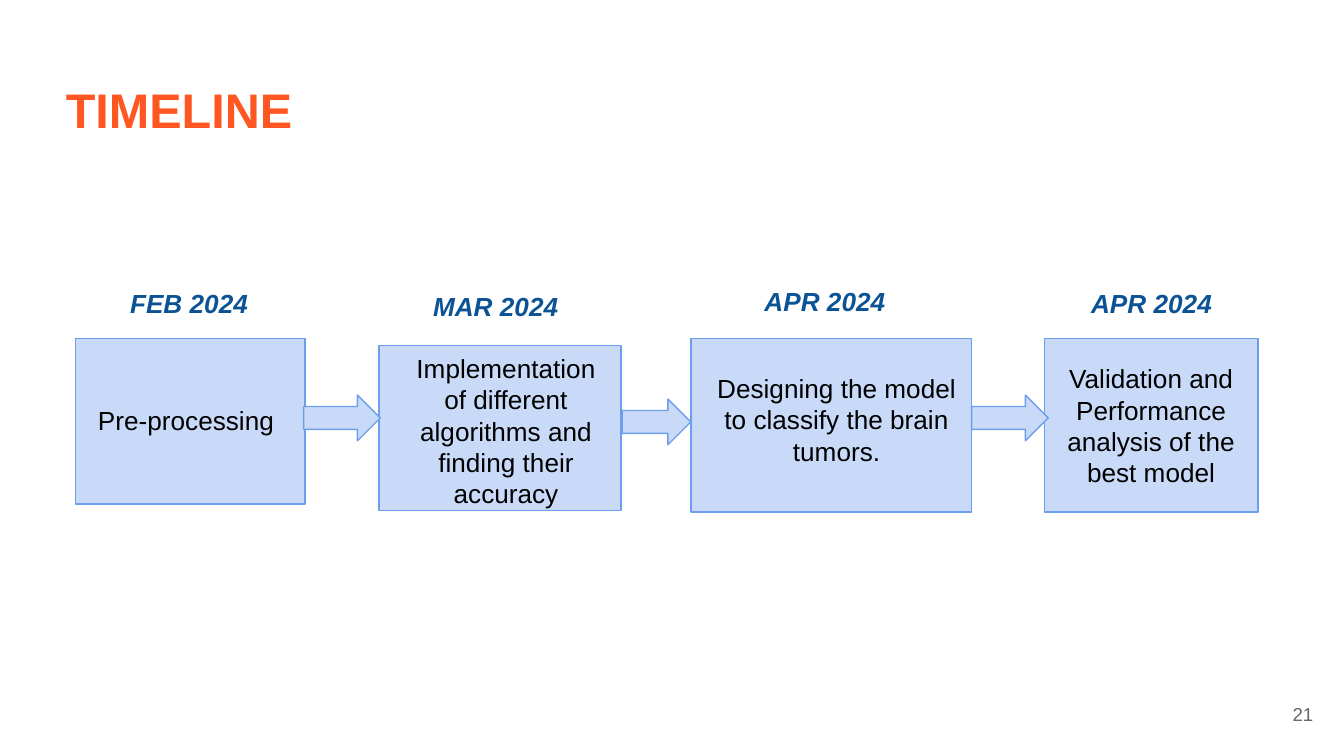
from pptx import Presentation
from pptx.dml.color import RGBColor
from pptx.enum.shapes import MSO_SHAPE as Shape
from pptx.enum.text import MSO_ANCHOR as Anchor, PP_ALIGN as Align
from pptx.util import Inches, Pt

THEME = {
    "font": "Arial",
    "title": ("FF5722", 26), "date": ("0B5394", 14),
    "body": ("000000", 14), "page": ("666666", 10),
    "fill": "C9DAF8", "line": "6D9EEB", "width": 0.75,
}
TITLE = ("TIMELINE", (0.42, 0.27, 8.13, 1.09))
PAGE = ("21", (9.27, 5.1, 0.6, 0.43))
STEPS = [
    {"date": "FEB 2024", "head": (0.87, 2.04, 1.14, 0.44), "indent": 0,
     "box": (0.56, 2.52, 1.71, 1.23),
     "task": "Pre-processing", "area": (0.43, 2.91, 1.91, 0.44)},
    {"date": " MAR 2024", "head": (3.07, 2.06, 2.03, 0.44), "indent": 0,
     "box": (2.82, 2.57, 1.8, 1.23),
     "task": "Implementation of different algorithms and finding their accuracy",
     "area": (2.94, 2.52, 1.65, 1.38)},
    {"date": "APR 2024", "head": (5.09, 2.02, 2.03, 0.44), "indent": 0.5,
     "box": (5.14, 2.52, 2.09, 1.29),
     "task": "Designing the model to classify the brain tumors.",
     "area": (5.21, 2.67, 2.03, 0.91)},
    {"date": "APR 2024", "head": (7.52, 2.04, 2.48, 0.44), "indent": 0.5,
     "box": (7.77, 2.52, 1.59, 1.29),
     "task": "Validation and Performance analysis of the best model",
     "area": None},
]
ARROWS = [(2.26, 2.94, 0.57, 0.34), (4.63, 2.97, 0.51, 0.34),
          (7.23, 2.94, 0.57, 0.34)]


def write(shape, text, role, align=Align.LEFT, anchor=Anchor.TOP,
          pad=(0.1, 0.1), bold=False, italic=False, indent=0):
    frame = shape.text_frame
    frame.text = text
    frame.word_wrap = True
    frame.vertical_anchor = anchor
    frame.margin_left = frame.margin_right = Inches(pad[0])
    frame.margin_top = frame.margin_bottom = Inches(pad[1])
    para = frame.paragraphs[0]
    para.alignment = align
    if indent:
        para._p.get_or_add_pPr().set("indent", str(Inches(indent)))
    color, size = THEME[role]
    font = para.runs[0].font
    font.name, font.size = THEME["font"], Pt(size)
    font.bold, font.italic = bold, italic
    font.color.rgb = RGBColor.from_string(color)


def label(slide, text, rect, role, **style):
    box = slide.shapes.add_textbox(*map(Inches, rect))
    write(box, text, role, **style)


def block(slide, kind, rect):
    shape = slide.shapes.add_shape(kind, *map(Inches, rect))
    shape.shadow.inherit = False
    shape.fill.solid()
    shape.fill.fore_color.rgb = RGBColor.from_string(THEME["fill"])
    shape.line.color.rgb = RGBColor.from_string(THEME["line"])
    shape.line.width = Pt(THEME["width"])
    return shape


def main():
    """Build the project timeline slide."""
    deck = Presentation()
    deck.slide_width = Inches(10)
    deck.slide_height = Inches(10 * 9 / 16)
    slide = deck.slides.add_slide(deck.slide_layouts[6])
    label(slide, *PAGE, "page", align=Align.RIGHT, anchor=Anchor.MIDDLE)
    label(slide, *TITLE, "title", anchor=Anchor.MIDDLE, pad=(0.07, 0.04),
          bold=True)
    for step in STEPS:
        box = block(slide, Shape.RECTANGLE, step["box"])
        if step["area"]:
            label(slide, step["task"], step["area"], "body",
                  align=Align.CENTER)
        else:
            write(box, step["task"], "body", align=Align.CENTER,
                  anchor=Anchor.MIDDLE)
        label(slide, step["date"], step["head"], "date", bold=True,
              italic=True, indent=step["indent"])
    for rect in ARROWS:
        block(slide, Shape.RIGHT_ARROW, rect)
    deck.save("out.pptx")


if __name__ == "__main__":
    main()
